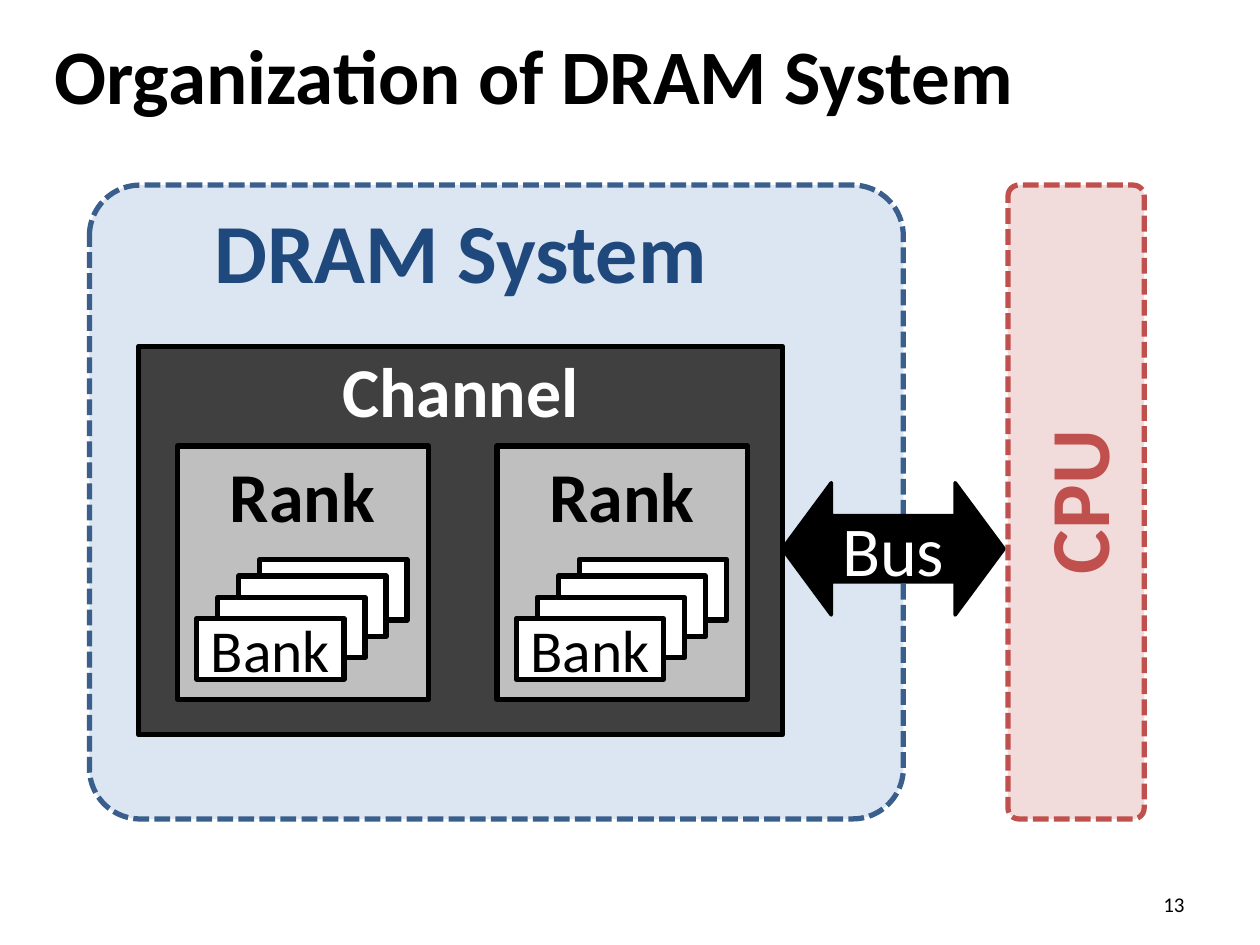
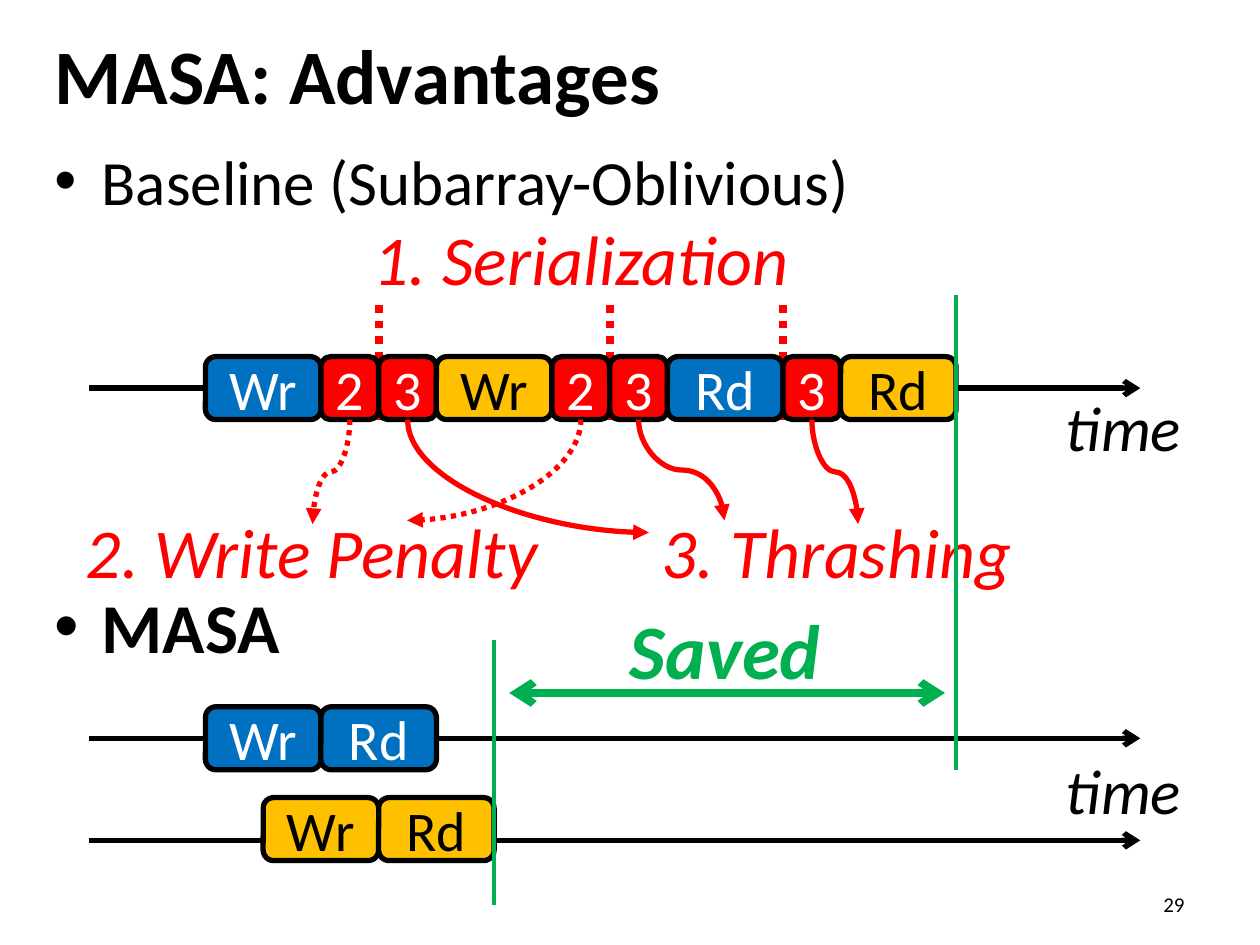
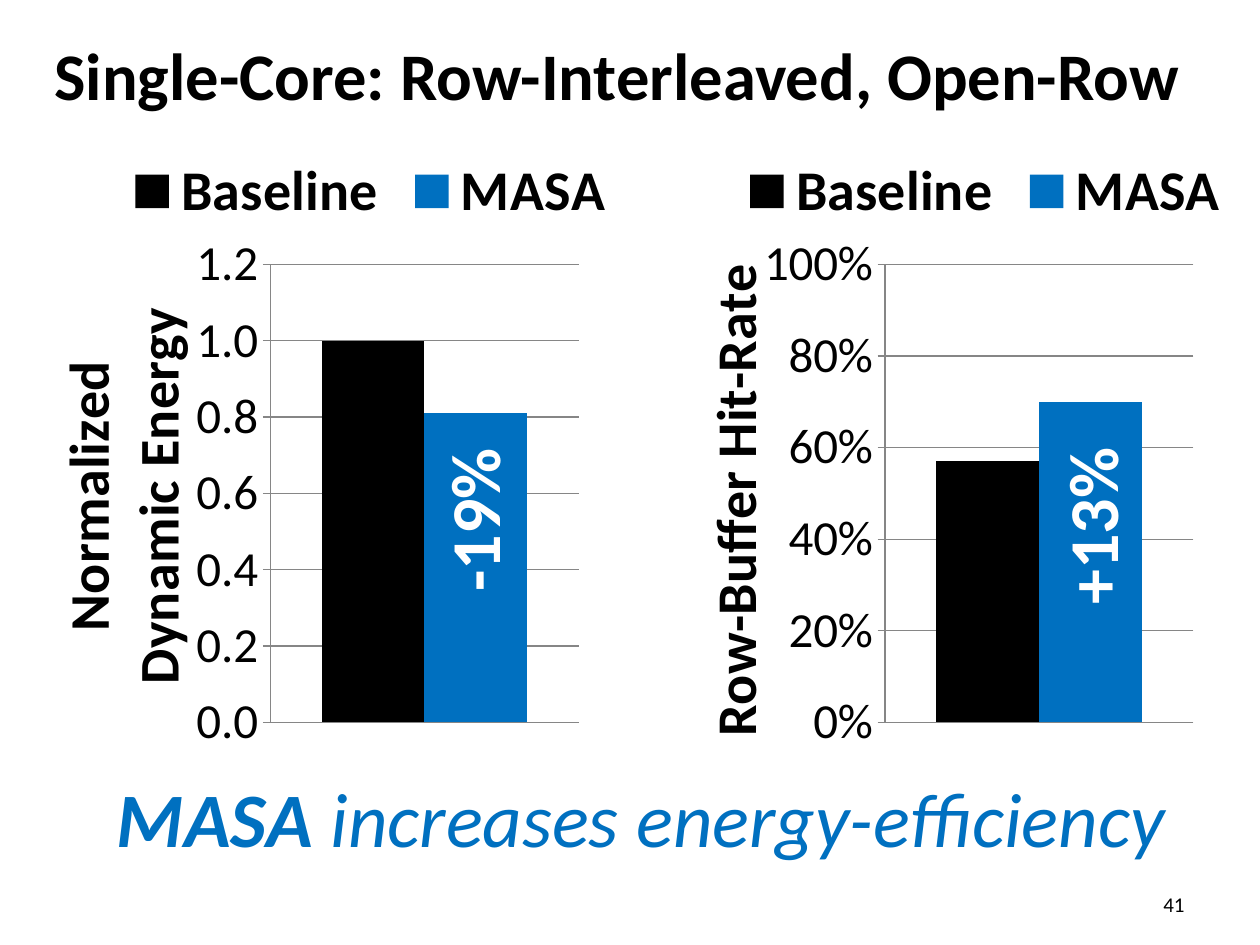
"""Build three slides on DRAM organisation and the advantages of MASA."""
from pptx import Presentation
from pptx.chart.data import CategoryChartData
from pptx.dml.color import RGBColor
from pptx.enum.chart import XL_CHART_TYPE, XL_LEGEND_POSITION, XL_TICK_MARK
from pptx.enum.dml import MSO_LINE
from pptx.enum.shapes import MSO_CONNECTOR, MSO_SHAPE
from pptx.enum.text import MSO_ANCHOR, PP_ALIGN
from pptx.oxml import parse_xml
from pptx.oxml.ns import nsdecls, qn
from pptx.util import Pt

RECTANGLE, ROUNDED = MSO_SHAPE.RECTANGLE, MSO_SHAPE.ROUNDED_RECTANGLE
DOUBLE_ARROW = MSO_SHAPE.LEFT_RIGHT_ARROW
STRAIGHT, CURVE = MSO_CONNECTOR.STRAIGHT, MSO_CONNECTOR.CURVE
LEFT, CENTER, RIGHT = PP_ALIGN.LEFT, PP_ALIGN.CENTER, PP_ALIGN.RIGHT
TOP, MIDDLE = MSO_ANCHOR.TOP, MSO_ANCHOR.MIDDLE
DASHED, DOTTED = MSO_LINE.SQUARE_DOT, MSO_LINE.ROUND_DOT

FONT = "Calibri"
BLACK, WHITE, GRAY = "000000", "FFFFFF", "868686"
BLUE, RED, YELLOW, GREEN = "0070C0", "FF0000", "FFC000", "00B050"
NAVY, DARK_BLUE, PALE_BLUE = "1F497D", "3A5F8C", "DCE6F2"
BRICK, PALE_RED = "C0504D", "F2DCDB"
CHARCOAL, SILVER = "404040", "BFBFBF"

TITLE_BOX = (24, 6, 672, 72)
NUMBER_BOX = (516, 504, 168, 25.2)
NORMAL_INSETS, BLOCK_INSETS = (7.2, 3.6, 7.2, 3.6), (0, 3.6, 0, 3.6)

CHANNEL_BOX = (79.2, 198, 368, 221.8)
RANK_LEFTS, RANK_TOP = (101.5, 284), 254.9
BANK_TOPS, BANK_STEP = (64.8, 74.2, 86.4, 98.6), 12

BULLETS = [("Baseline (Subarray-Oblivious)", 36, False, 2), ("MASA", 40, True, 209)]
UNIT, ORIGIN = 33, 117.4
BLOCK_HEIGHT = 36
TIMELINES = [(221.8, 0.71), (421.9, 5.86), (480.2, 6.67)]
TIMELINE_YS = (221.8, 421.9, 480.2)
BLOCK_ROWS = [
    (203.8, 0, [("Wr", 2, BLUE), ("2", 1, RED), ("3", 1, RED), ("Wr", 2, YELLOW), ("2", 1, RED),
                ("3", 1, RED), ("Rd", 2, BLUE), ("3", 1, RED), ("Rd", 2, YELLOW)]),
    (403.9, 0, [("Wr", 2, BLUE), ("Rd", 2, BLUE)]),
    (455.8, 1, [("Wr", 2, YELLOW), ("Rd", 2, YELLOW)]),
]
SERIAL_UNITS = (3, 7, 10)
CURVES = [
    (2.5, 178.6, 299.5, "curvedConnector3", DOTTED),
    (7 - 0.5, 232.6, 297.4, "curvedConnector2", DOTTED),
    (7.5, 414, 297.4, "curvedConnector3", None),
    (10.5, 490.3, 299.5, "curvedConnector3", None),
    (3.5, 370.8, 304.3, "curvedConnector2", None),
]
ITALIC_LABELS = [
    ("1. Serialization", (117.4, 126, 429, 42.5), CENTER, {"size": 40, "color": RED}),
    ("2. Write Penalty", (41, 299.5, 274.3, 30.2), CENTER, {"size": 40, "color": RED}),
    ("3. Thrashing", (370.8, 299.5, 239.8, 30.2), LEFT, {"size": 40, "color": RED}),
    ("time", (600, 232.6, 84, 21.6), CENTER, {"size": 36}),
    ("time", (600, 440, 84, 21.6), CENTER, {"size": 36}),
    ("Saved", (282.4, 354.2, 264, 33.1), CENTER, {"size": 44, "color": GREEN, "bold": True}),
]
LIMITS = [(13, 168.5, 440), (5, 365.8, 517)]

CHARTS = [
    {"left": 2.9, "title": ["Normalized", "Dynamic Energy"], "title_at": (0.06, 0.27),
     "format": "#,##0.0", "maximum": 1.2, "values": (1, 0.81),
     "change": "-19%", "change_box": (218.9, 269.3, 102.2, 55.4)},
    {"left": 354.2, "title": ["Row-Buffer Hit-Rate"], "title_at": (0.09, 0.19),
     "format": "0%", "maximum": 1, "values": (0.57, 0.7),
     "change": "+13%", "change_box": (566.6, 272.9, 113.8, 55.4)},
]
SERIES = [("Baseline", BLACK), ("MASA", BLUE)]
PLOT_LAYOUT = (0.363, 0.206, 0.422, 0.736)


def rgb(value):
    return RGBColor.from_string(value)


def style_font(font, size, color=BLACK, **values):
    font.color.rgb = rgb(color)
    for name, value in {"name": FONT, "size": Pt(size), "bold": False, **values}.items():
        setattr(font, name, value)


def write(shape, runs, align=CENTER, anchor=MIDDLE, insets=NORMAL_INSETS):
    frame = shape.text_frame
    frame.word_wrap = True
    frame.vertical_anchor = anchor
    for side, inset in zip(("left", "top", "right", "bottom"), insets):
        setattr(frame, f"margin_{side}", Pt(inset))
    paragraph = frame.paragraphs[0]
    paragraph.alignment = align
    for text, values in runs:
        run = paragraph.add_run()
        run.text = text
        style_font(run.font, **values)
    return paragraph


def add_text(slide, box, text, align=CENTER, anchor=MIDDLE, **values):
    shape = slide.shapes.add_textbox(*map(Pt, box))
    write(shape, [(text, values)], align, anchor)
    return shape


def add_box(slide, kind, box, fill, line=BLACK, width=3, dash=None, adjustments=()):
    shape = slide.shapes.add_shape(kind, *map(Pt, box))
    shape.shadow.inherit = False
    shape.fill.solid()
    shape.fill.fore_color.rgb = rgb(fill)
    style_line(shape.line, line, width, dash)
    for index, value in enumerate(adjustments):
        shape.adjustments[index] = value
    return shape


def style_line(line, color, width, dash=None):
    line.color.rgb = rgb(color)
    line.width = Pt(width)
    if dash:
        line.dash_style = dash


def add_line(slide, start, end, color, width, dash=None, head=None, tail=None, kind=STRAIGHT):
    connector = slide.shapes.add_connector(kind, *map(Pt, (*start, *end)))
    style_line(connector.line, color, width, dash)
    for tag, arrow in (("headEnd", head), ("tailEnd", tail)):
        if arrow:
            connector.line._get_or_add_ln().append(
                parse_xml(f'<a:{tag} {nsdecls("a")} type="{arrow}"/>'))
    connector._element.spPr.append(parse_xml(f'<a:effectLst {nsdecls("a")}/>'))
    return connector


def add_falling_curve(slide, start, end, preset, dash):
    """Draw a curve that leaves its start downwards, by turning a sideways one."""
    (x1, y1), (x2, y2) = start, end
    middle_x, middle_y = (x1 + x2) / 2, (y1 + y2) / 2
    half_width, half_height = (y2 - y1) / 2, abs(x2 - x1) / 2
    rightward = x2 > x1
    if rightward:
        half_width = -half_width
    connector = add_line(slide, (middle_x - half_width, middle_y - half_height),
                         (middle_x + half_width, middle_y + half_height),
                         RED, 3, dash, tail="triangle", kind=CURVE)
    properties = connector._element.spPr
    properties.find(qn("a:xfrm")).set("rot", str((270 if rightward else 90) * 60000))
    properties.find(qn("a:prstGeom")).set("prst", preset)


def add_slide(presentation, title, number, title_size=44):
    slide = presentation.slides.add_slide(presentation.slide_layouts[6])
    add_text(slide, TITLE_BOX, title, LEFT, size=title_size, bold=True)
    add_text(slide, NUMBER_BOX, str(number), RIGHT, size=12)
    return slide


def add_rank(slide, left):
    add_box(slide, RECTANGLE, (left, RANK_TOP, 143.3, 144.7), SILVER)
    for index, top in enumerate(BANK_TOPS):
        bank_left = left + 11 + BANK_STEP * (len(BANK_TOPS) - 1 - index)
        bank = add_box(slide, RECTANGLE, (bank_left, RANK_TOP + top, 84.2, 34.6), WHITE)
    write(bank, [("Bank", {"size": 34})])
    add_text(slide, (left, 265, 142.6, 34.6), "Rank", size=40, bold=True)


def build_organization(presentation):
    slide = add_slide(presentation, "Organization of DRAM System", 13)
    add_box(slide, ROUNDED, (51.1, 105.8, 465.1, 362.2), PALE_BLUE, DARK_BLUE, 3, DASHED, (0.08,))
    add_text(slide, (79.2, 105.8, 368, 74.2), "DRAM System", size=48, color=NAVY, bold=True)
    add_box(slide, RECTANGLE, CHANNEL_BOX, CHARCOAL)
    for left in RANK_LEFTS:
        add_rank(slide, left)
    add_text(slide, (*CHANNEL_BOX[:3], 49.7), "Channel", size=40, color=WHITE, bold=True)
    bus = add_box(slide, DOUBLE_ARROW, (447.1, 275.8, 126.7, 75.6), BLACK, width=2,
                  adjustments=(0.5, 0.37))
    write(bus, [("Bus", {"size": 40, "color": WHITE})])
    cpu = add_box(slide, ROUNDED, (576, 105.8, 77.8, 362.2), PALE_RED, BRICK, 3, DASHED, (0.08,))
    write(cpu, [("CPU", {"size": 48, "color": BRICK, "bold": True})])
    cpu.text_frame._txBody.bodyPr.set("vert", "vert270")


def add_bullets(slide, box):
    frame = slide.shapes.add_textbox(*map(Pt, box)).text_frame
    frame.word_wrap = True
    for index, (text, size, bold, space) in enumerate(BULLETS):
        paragraph = frame.add_paragraph() if index else frame.paragraphs[0]
        paragraph.space_before = Pt(space)
        run = paragraph.add_run()
        run.text = text
        style_font(run.font, size, bold=bold)
        properties = paragraph._p.get_or_add_pPr()
        properties.set("marL", str(Pt(27)))
        properties.set("indent", str(-Pt(27)))
        properties.append(parse_xml(f'<a:buFont {nsdecls("a")} typeface="Arial"/>'))
        properties.append(parse_xml(f'<a:buChar {nsdecls("a")} char="•"/>'))


def at_unit(units):
    return ORIGIN + UNIT * units


def build_advantages(presentation):
    slide = add_slide(presentation, "MASA: Advantages", 29)
    add_bullets(slide, (24, 77.8, 672, 422.6))
    for units in SERIAL_UNITS:
        add_line(slide, (at_unit(units), 174.2), (at_unit(units), 239.8), RED, 4.5, DOTTED)
    for y in TIMELINE_YS:
        add_line(slide, (51.1, y), (651.6, y), BLACK, 3, tail="arrow")
    for top, units, blocks in BLOCK_ROWS:
        for text, length, color in blocks:
            block = add_box(slide, ROUNDED, (at_unit(units), top, UNIT * length, BLOCK_HEIGHT), color)
            text_color = BLACK if color == YELLOW else WHITE
            write(block, [(text, {"size": 32, "color": text_color})], insets=BLOCK_INSETS)
            units += length
    for text, box, align, values in ITALIC_LABELS:
        add_text(slide, box, text, align, italic=True, **values)
    for units, x, y, preset, dash in CURVES:
        add_falling_curve(slide, (at_unit(units), 239.8), (x, y), preset, dash)
    for units, top, bottom in LIMITS:
        add_line(slide, (at_unit(units), top), (at_unit(units), bottom), GREEN, 2.25)
    add_line(slide, (291, 396), (540, 396), GREEN, 4.5, head="arrow", tail="arrow")


def set_layout(parent, index, target=None, **sizes):
    for old in parent.findall(qn("c:layout")):
        parent.remove(old)
    parts = f'<c:layoutTarget val="{target}"/>' if target else ""
    parts += "".join(f'<c:{name}Mode val="edge"/>' for name in "xy")
    parts += "".join(f'<c:{name} val="{value}"/>' for name, value in sizes.items())
    parent.insert(index, parse_xml(
        f'<c:layout {nsdecls("c")}><c:manualLayout>{parts}</c:manualLayout></c:layout>'))


def add_axis_title(axis, lines, position):
    frame = axis.axis_title.text_frame
    for index, text in enumerate(lines):
        paragraph = frame.add_paragraph() if index else frame.paragraphs[0]
        run = paragraph.add_run()
        run.text = text
        style_font(run.font, 32, bold=True)
    body = frame._txBody.find(qn("a:bodyPr"))
    body.set("rot", "-5400000")
    body.set("vert", "horz")
    set_layout(axis.axis_title._element, 1, x=position[0], y=position[1])


def add_bar_chart(slide, content):
    data = CategoryChartData()
    data.categories = ["1"]
    for (name, color), value in zip(SERIES, content["values"]):
        data.add_series(name, [value])
    box = (content["left"], 77.8, 417.6, 355.7)
    chart = slide.shapes.add_chart(XL_CHART_TYPE.COLUMN_CLUSTERED, *map(Pt, box), data).chart
    style_font(chart.font, 10)
    chart.has_title = False
    chart.has_legend = True
    chart.legend.position = XL_LEGEND_POSITION.TOP
    chart.legend.include_in_layout = False
    style_font(chart.legend.font, 32, bold=True)
    chart.category_axis.visible = False
    plot = chart.plots[0]
    for name, value in {"gap_width": 100, "overlap": 0, "vary_by_categories": False}.items():
        setattr(plot, name, value)
    for series, (name, color) in zip(plot.series, SERIES):
        series.format.fill.solid()
        series.format.fill.fore_color.rgb = rgb(color)
    axis = chart.value_axis
    for name, value in {"minimum_scale": 0, "maximum_scale": content["maximum"], "major_unit": 0.2,
                        "has_major_gridlines": True, "major_tick_mark": XL_TICK_MARK.OUTSIDE,
                        "minor_tick_mark": XL_TICK_MARK.NONE}.items():
        setattr(axis, name, value)
    style_font(axis.tick_labels.font, 28)
    axis.tick_labels.number_format = content["format"]
    axis.tick_labels.number_format_is_linked = False
    for line in (axis.format.line, axis.major_gridlines.format.line):
        style_line(line, GRAY, 0.75)
    add_axis_title(axis, content["title"], content["title_at"])
    set_layout(chart._chartSpace.chart.plotArea, 0, "inner", **dict(zip("xywh", PLOT_LAYOUT)))


def build_results(presentation):
    slide = add_slide(presentation, "Single-Core: Row-Interleaved, Open-Row", 41, 38)
    for content in CHARTS:
        add_bar_chart(slide, content)
    conclusion = slide.shapes.add_textbox(*map(Pt, (36, 442.8, 661, 55.4)))
    values = {"size": 44, "color": BLUE, "italic": True}
    paragraph = write(conclusion, [("MASA", {**values, "bold": True}),
                                   (" increases energy-efficiency", values)], anchor=TOP)
    paragraph.line_spacing = 0.9
    for content in CHARTS:
        change = add_text(slide, content["change_box"], content["change"], anchor=TOP,
                          size=40, color=WHITE, bold=True)
        change.rotation = 270


def main():
    presentation = Presentation()
    presentation.slide_width, presentation.slide_height = Pt(720), Pt(540)
    build_organization(presentation)
    build_advantages(presentation)
    build_results(presentation)
    presentation.save("out.pptx")


if __name__ == "__main__":
    main()
